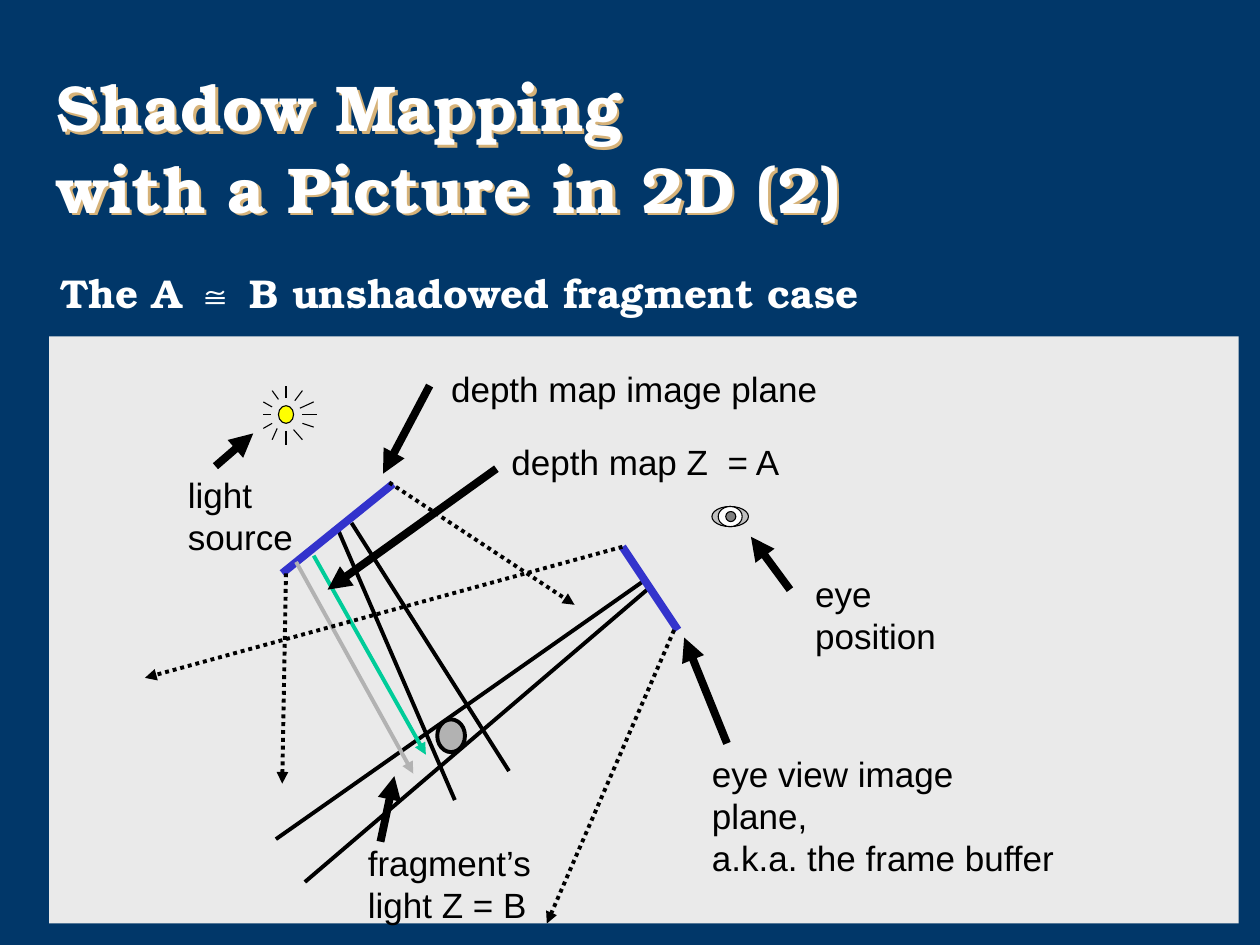
from lxml import etree
from pptx import Presentation, util as u
from pptx.dml.color import RGBColor
from pptx.enum import dml, shapes, text
from pptx.oxml.ns import qn

NAVY = RGBColor(0x01, 0x37, 0x69)
PANEL = RGBColor(0xEA, 0xEA, 0xEA)
WHITE = RGBColor(0xFF, 0xFF, 0xFF)
BLACK = RGBColor(0x00, 0x00, 0x00)
SILVER = RGBColor(0xC0, 0xC0, 0xC0)
GRAY = RGBColor(0x80, 0x80, 0x80)
LIGHT_GRAY = RGBColor(0xB2, 0xB2, 0xB2)
YELLOW = RGBColor(0xFF, 0xFF, 0x00)
BLUE = RGBColor(0x33, 0x33, 0xCC)
GREEN = RGBColor(0x00, 0xCC, 0x99)
TAN = RGBColor(0xD6, 0xB2, 0x78)

SERIF, SANS = "TeX Gyre Bonum", "Arial"
THIN, MEDIUM, THICK = 0.62, 2.25, 4.5


def inches(values):
    return [u.Inches(v) for v in values]


class Diagram:
    """Holds the current slide and the style of its elements."""

    def __init__(self, prs):
        self.s = prs.slides.add_slide(prs.slide_layouts[5])
        fill = self.s.background.fill
        fill.solid()
        fill.fore_color.rgb = NAVY

    def font(self, font, name, size, color, bold=False):
        font.name, font.size, font.bold = name, u.Pt(size), bold
        font.color.rgb = color

    def title(self, content, box):
        sp = self.s.shapes.title
        sp.left, sp.top, sp.width, sp.height = inches(box)
        tf = sp.text_frame
        tf.word_wrap = True
        tf.auto_size = text.MSO_AUTO_SIZE.NONE
        tf.vertical_anchor = text.MSO_ANCHOR.MIDDLE
        p = tf.paragraphs[0]
        p.text = content
        p.alignment = text.PP_ALIGN.LEFT
        p.line_spacing = 1.05
        self.font(p.font, SERIF, 37, WHITE, True)
        # Tan drop shadow behind the letters
        effects = etree.SubElement(sp._element.spPr, qn("a:effectLst"))
        shadow = etree.SubElement(effects, qn("a:outerShdw"),
                                  dist=str(u.Pt(2)), dir="2700000")
        etree.SubElement(shadow, qn("a:srgbClr"), val=str(TAN))

    def subtitle(self, parts, box):
        tf = self.s.shapes.add_textbox(*inches(box)).text_frame
        tf.word_wrap = True
        p = tf.paragraphs[0]
        for content, name in parts:
            r = p.add_run()
            r.text = content
            self.font(r.font, name, 23, WHITE, True)

    def label(self, content, box):
        tf = self.s.shapes.add_textbox(*inches(box)).text_frame
        tf.word_wrap = False
        tf.margin_left = tf.margin_top = tf.margin_right = tf.margin_bottom = 0
        p = tf.paragraphs[0]
        p.text = content
        self.font(p.font, SANS, 20, BLACK)

    def shape(self, kind, box, color, width=None):
        sp = self.s.shapes.add_shape(kind, *inches(box))
        sp.shadow.inherit = False
        sp.fill.solid()
        sp.fill.fore_color.rgb = color
        if width is None:
            sp.line.fill.background()
        else:
            sp.line.color.rgb = BLACK
            sp.line.width = u.Pt(width)

    def ellipse(self, box, color, width=THIN):
        self.shape(shapes.MSO_SHAPE.OVAL, box, color, width)

    def line(self, points, width=MEDIUM, color=BLACK, arrow=False, dotted=False):
        c = self.s.shapes.add_connector(shapes.MSO_CONNECTOR.STRAIGHT, *inches(points))
        c.line.color.rgb = color
        c.line.width = u.Pt(width)
        if dotted:
            c.line.dash_style = dml.MSO_LINE.ROUND_DOT
        if arrow:
            etree.SubElement(c.line._get_or_add_ln(), qn("a:tailEnd"), type="triangle")
        etree.SubElement(c._element.spPr, qn("a:effectLst"))


def main():
    prs = Presentation()
    prs.slide_width, prs.slide_height = inches((10, 7.5))
    d = Diagram(prs)

    # Panel and headings
    d.shape(shapes.MSO_SHAPE.RECTANGLE, (0.39, 2.67, 9.44, 4.66), PANEL)
    d.title("Shadow Mapping\nwith a Picture in 2D (2)", (0.35, 0.39, 6.99, 1.52))
    d.subtitle([("The A ", SERIF), ("≅", SANS), (" B unshadowed fragment case", SERIF)],
               (0.38, 2.08, 9.37, 0.55))

    # Eye
    d.ellipse((5.65, 4.02, 0.29, 0.16), SILVER)
    d.ellipse((5.7, 4.02, 0.19, 0.16), WHITE)
    d.ellipse((5.76, 4.06, 0.08, 0.08), GRAY)

    # Light source with its rays
    d.ellipse((2.21, 3.22, 0.12, 0.14), YELLOW)
    for ray in [(2.27, 3.16, 2.27, 3.06), (2.27, 3.42, 2.27, 3.53),
                (2.34, 3.18, 2.4, 3.1), (2.38, 3.24, 2.49, 3.19),
                (2.33, 3.41, 2.4, 3.49), (2.4, 3.36, 2.49, 3.39),
                (2.21, 3.17, 2.16, 3.1), (2.16, 3.23, 2.09, 3.19),
                (2.2, 3.4, 2.16, 3.49), (2.16, 3.36, 2.09, 3.4),
                (2.4, 3.29, 2.52, 3.29), (2.15, 3.29, 2.09, 3.29)]:
        d.line(ray, THIN)

    # Sight lines from both image planes, and the fragment they meet at
    for sight in [(2.69, 4.22, 3.61, 6.35), (2.79, 4.15, 4.04, 6.12),
                  (5.11, 4.61, 2.19, 6.66), (5.16, 4.66, 2.42, 7)]:
        d.line(sight)
    d.ellipse((3.47, 5.71, 0.22, 0.26), LIGHT_GRAY, MEDIUM)

    # Image planes
    for plane in [(2.24, 4.55, 3.12, 3.84), (4.94, 4.34, 5.38, 5)]:
        d.line(plane, THICK, BLUE)

    # Depths A and B
    d.line((2.49, 4.41, 3.38, 5.99), color=GREEN, arrow=True)
    d.line((2.35, 4.46, 3.28, 6.14), color=LIGHT_GRAY, arrow=True)

    # Labels and their pointers
    for content, box, pointer in [
        ("light\nsource", (1.49, 3.76, 0.91, 0.67), (1.71, 3.7, 2.01, 3.44)),
        ("eye\nposition", (6.47, 4.54, 1.04, 0.67), (6.27, 4.68, 5.96, 4.26)),
        ("depth map Z  = A", (4.06, 3.5, 2.14, 0.33), (3.94, 3.72, 2.6, 4.68)),
        ("fragment’s\nlight Z = B", (2.92, 6.68, 1.3, 0.67), (3.02, 6.68, 3.13, 6.16)),
        ("depth map image plane", (3.58, 2.92, 2.91, 0.33), (3.41, 3.06, 3.04, 3.76)),
        ("eye view image plane,\na.k.a. the frame buffer", (5.65, 5.97, 2.75, 0.67),
         (5.77, 5.9, 5.43, 5.06)),
    ]:
        d.label(content, box)
        d.line(pointer, THICK, arrow=True)

    # Edges of the two view frustums
    for edge in [(4.94, 4.34, 1.15, 5.38), (5.35, 5, 4.34, 7.33),
                 (2.27, 4.55, 2.24, 6.22), (3.09, 3.83, 4.56, 4.8)]:
        d.line(edge, arrow=True, dotted=True)

    prs.save("out.pptx")


if __name__ == "__main__":
    main()
